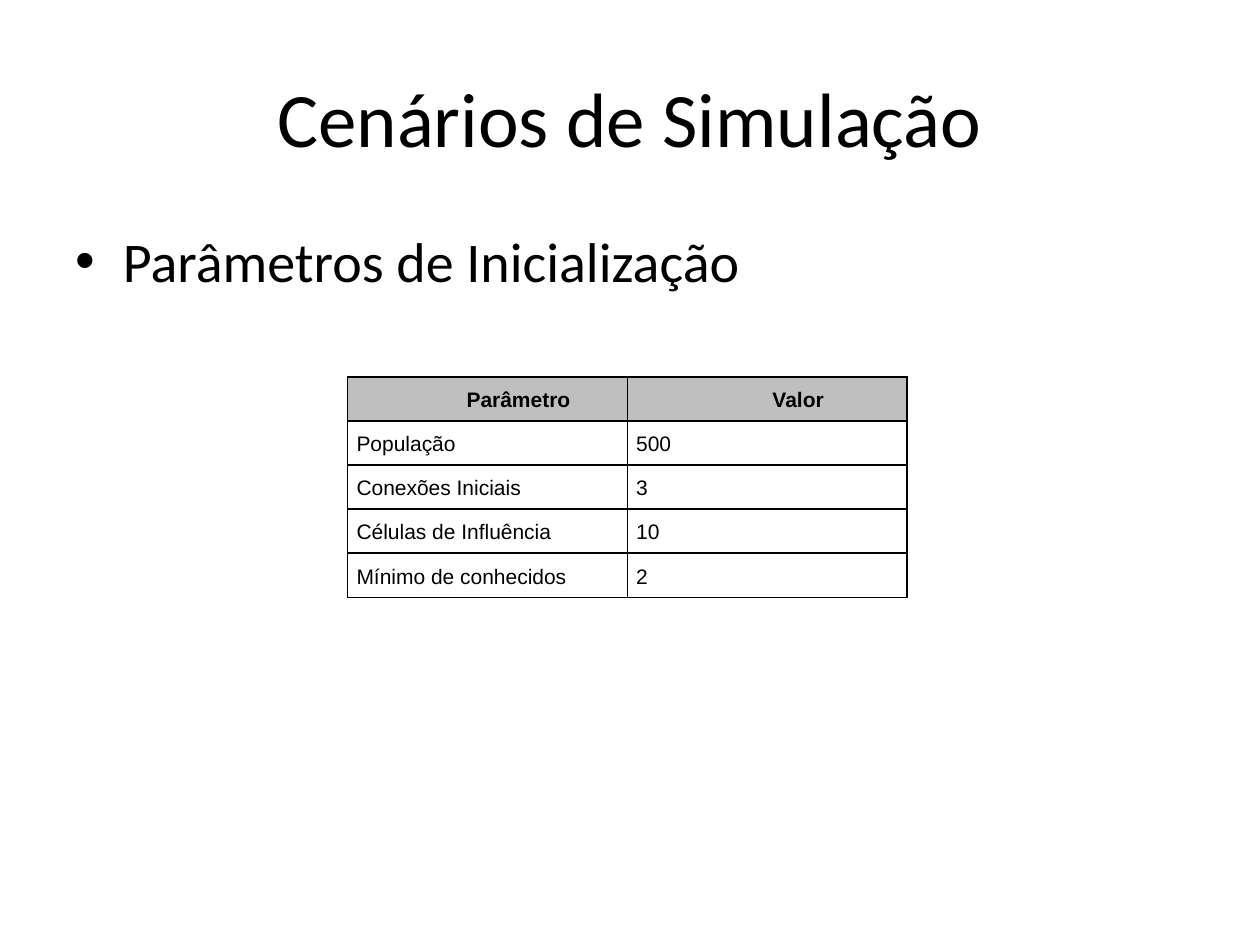
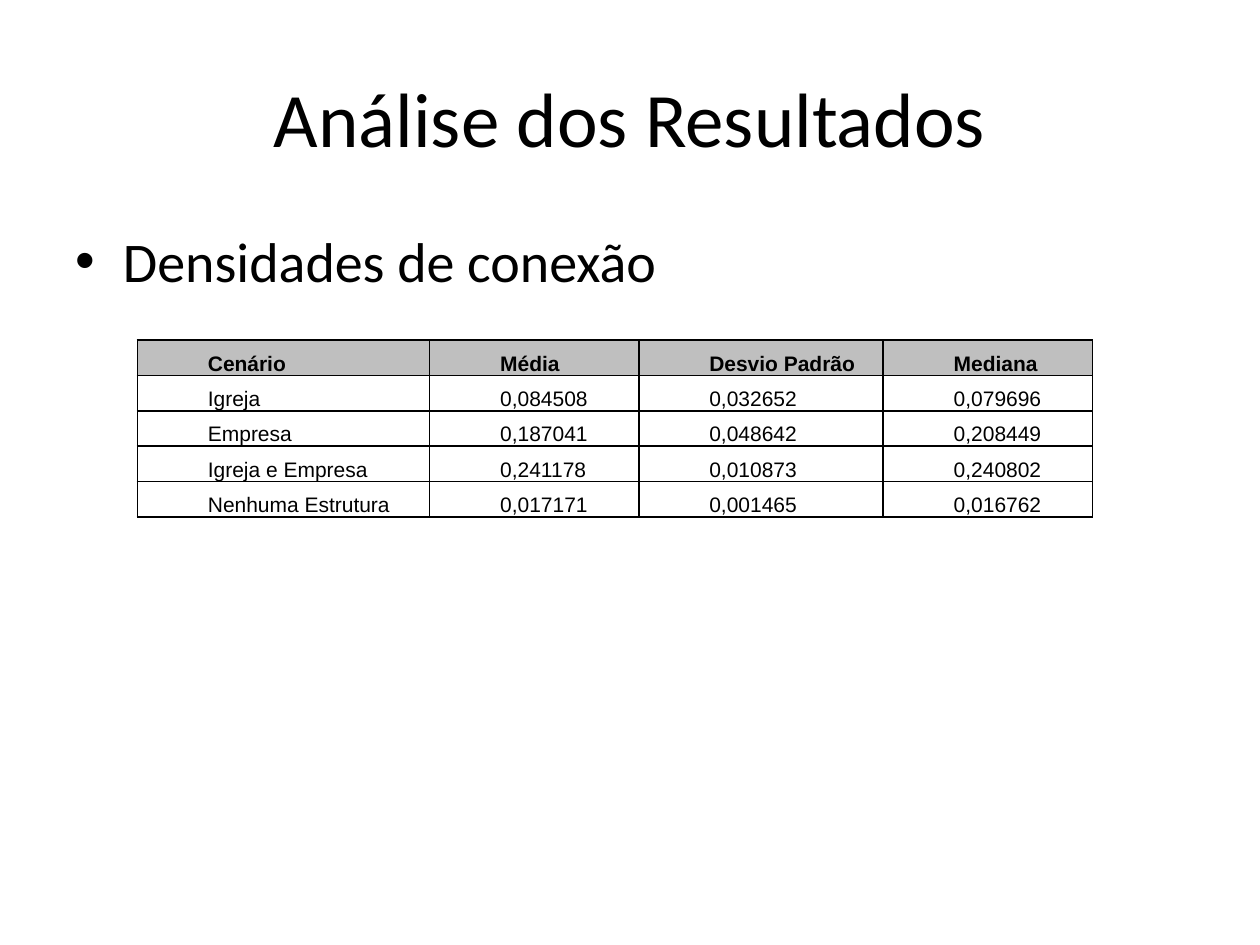
from lxml import etree
from pptx import Presentation
from pptx.dml.color import RGBColor
from pptx.enum.text import PP_ALIGN
from pptx.oxml.ns import qn
from pptx.util import Inches, Pt

LEFT, CENTER, JUSTIFY = PP_ALIGN.LEFT, PP_ALIGN.CENTER, PP_ALIGN.JUSTIFY
BLACK = RGBColor(0x00, 0x00, 0x00)
HEADER_GRAY = RGBColor(0xBF, 0xBF, 0xBF)
TITLE_FONT, TABLE_FONT = "Calibri", "Arial"
TITLE_BOX = (0.5, 0.3, 9, 1.25)
BODY_BOX = (0.5, 1.75, 9, 4.95)
FIRST_INDENT = 0.49
CELL_MARGIN = 0.07

SLIDES = [
    {
        "title": "Cenários de Simulação",
        "bullet": "Parâmetros de Inicialização",
        "origin": (2.76, 2.99),
        "cols": [2.22, 2.22],
        "row_height": 0.35,
        "header": {"align": CENTER, "indent": FIRST_INDENT, "after": 0},
        "data": {"align": LEFT, "indent": 0, "after": 10},
        "rows": [
            ("Parâmetro", "Valor"),
            ("População", "500"),
            ("Conexões Iniciais", "3"),
            ("Células de Influência", "10"),
            ("Mínimo de conhecidos", "2"),
        ],
    },
    {
        "title": "Análise dos Resultados",
        "bullet": "Densidades de conexão",
        "origin": (1.09, 2.7),
        "cols": [2.32, 1.66, 1.94, 1.66],
        "row_height": 0.28,
        "header": {"align": JUSTIFY, "indent": FIRST_INDENT, "after": 6},
        "data": {"align": JUSTIFY, "indent": FIRST_INDENT, "after": 6},
        "rows": [
            ("Cenário", "Média", "Desvio Padrão", "Mediana"),
            ("Igreja", "0,084508", "0,032652", "0,079696"),
            ("Empresa", "0,187041", "0,048642", "0,208449"),
            ("Igreja e Empresa", "0,241178", "0,010873", "0,240802"),
            ("Nenhuma Estrutura", "0,017171", "0,001465", "0,016762"),
        ],
    },
]


def format_runs(p, font, size, bold=False):
    for r in p.runs:
        r.font.name = font
        r.font.size = Pt(size)
        r.font.bold = bold
        r.font.color.rgb = BLACK


def fill_placeholder(sp, box, text, size):
    sp.left, sp.top, sp.width, sp.height = map(Inches, box)
    sp.text_frame.text = text
    format_runs(sp.text_frame.paragraphs[0], TITLE_FONT, size)


def add_borders(cell):
    tc_pr = cell._tc.get_or_add_tcPr()
    for i, side in enumerate(("a:lnL", "a:lnR", "a:lnT", "a:lnB")):
        ln = etree.Element(qn(side), w=str(Pt(1)))
        fill = etree.SubElement(ln, qn("a:solidFill"))
        etree.SubElement(fill, qn("a:srgbClr"), val=str(BLACK))
        tc_pr.insert(i, ln)


def format_cell(cell, text, style, is_header):
    cell.margin_left = cell.margin_right = Inches(CELL_MARGIN)
    cell.margin_top = cell.margin_bottom = 0
    if is_header:
        cell.fill.solid()
        cell.fill.fore_color.rgb = HEADER_GRAY
    else:
        cell.fill.background()
    add_borders(cell)
    p = cell.text_frame.paragraphs[0]
    p.text = text
    p.alignment = style["align"]
    p.line_spacing = 1.5
    p.space_before = Pt(6)
    p.space_after = Pt(style["after"])
    p._p.get_or_add_pPr().set("indent", str(Inches(style["indent"])))
    format_runs(p, TABLE_FONT, 12, is_header)


def add_data_table(slide, spec_):
    rows, cols = spec_["rows"], spec_["cols"]
    left, top = spec_["origin"]
    size = (sum(cols), spec_["row_height"] * len(rows))
    table = slide.shapes.add_table(
        len(rows), len(cols), *map(Inches, (left, top, *size))).table
    for column, width in zip(table.columns, cols):
        column.width = Inches(width)
    for i, values in enumerate(rows):
        table.rows[i].height = Inches(spec_["row_height"])
        style = spec_["data" if i else "header"]
        for j, text in enumerate(values):
            format_cell(table.cell(i, j), text, style, i == 0)


def main():
    prs = Presentation()
    prs.slide_width, prs.slide_height = Inches(10), Inches(7.5)
    for content in SLIDES:
        slide = prs.slides.add_slide(prs.slide_layouts[1])
        fill_placeholder(slide.shapes.title, TITLE_BOX, content["title"], 44)
        fill_placeholder(slide.placeholders[1], BODY_BOX, content["bullet"], 32)
        add_data_table(slide, content)
    prs.save("out.pptx")


if __name__ == "__main__":
    main()
